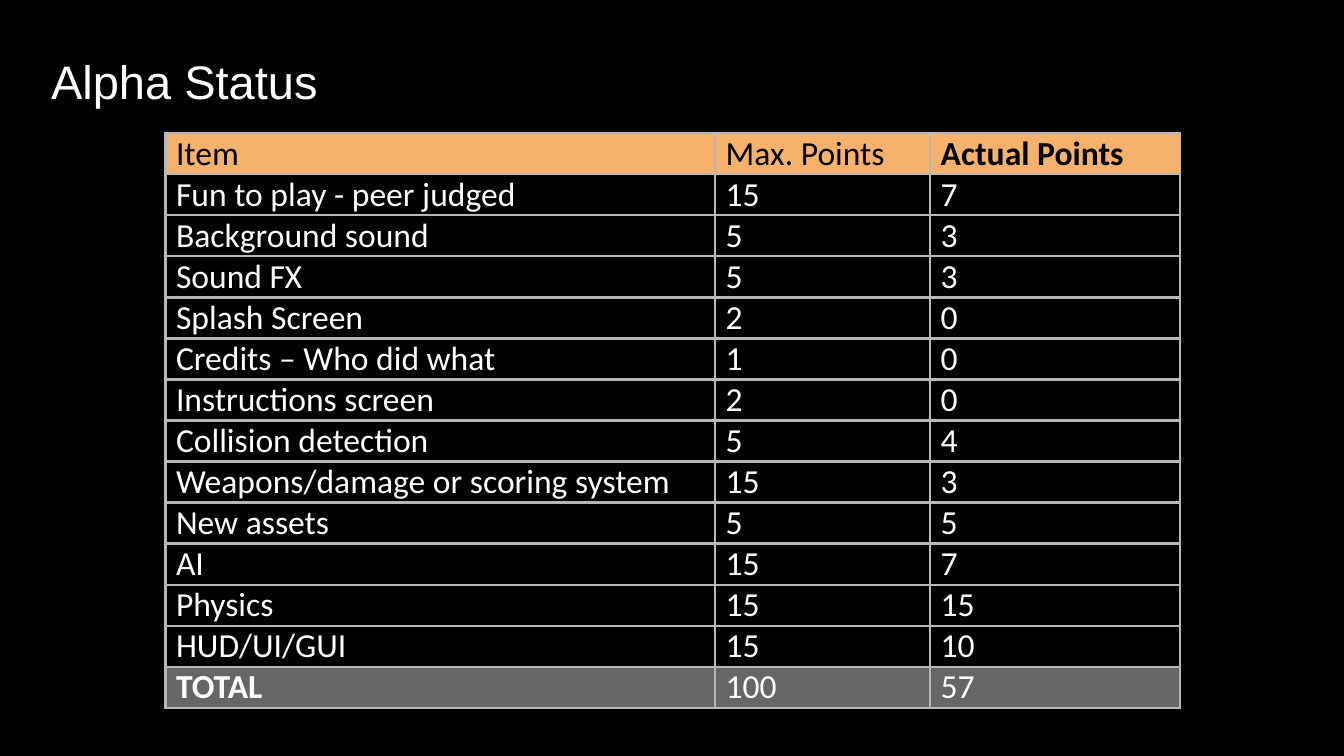
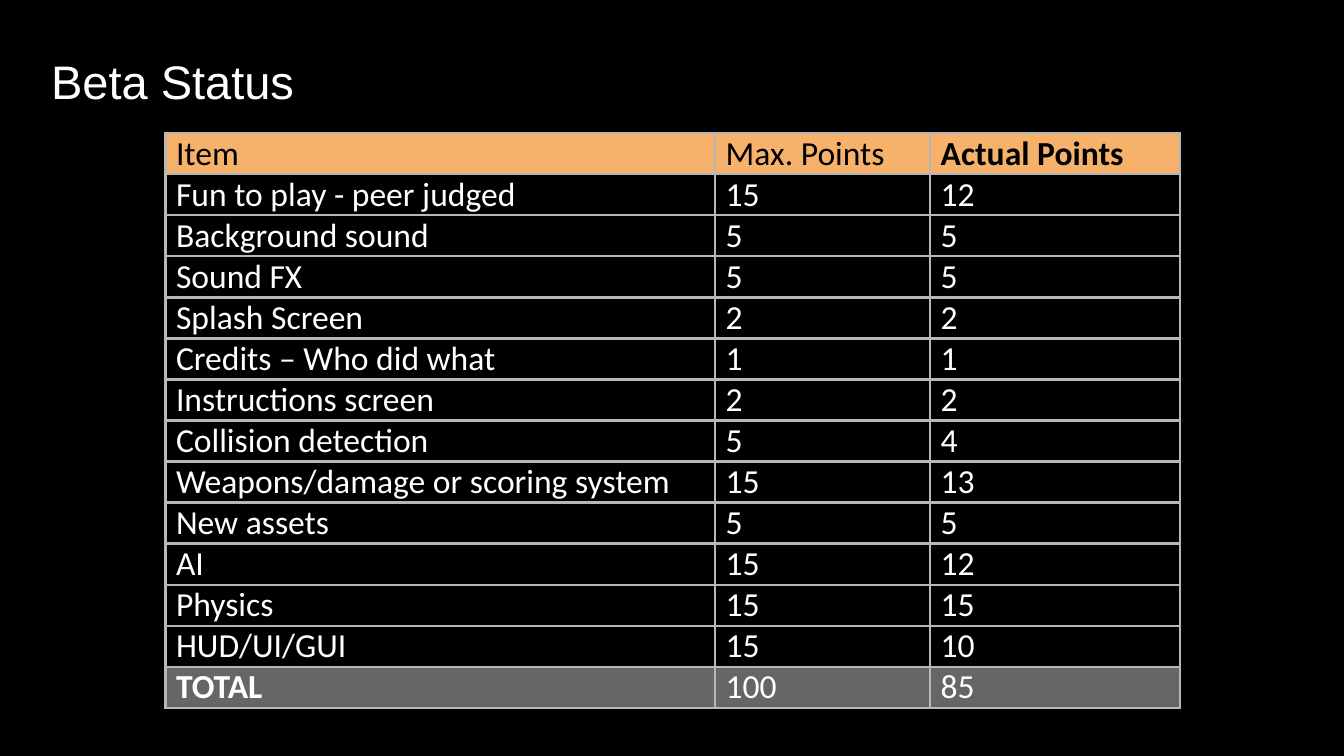
from dataclasses import dataclass

import lxml.etree
import pptx
import pptx.dml.color
import pptx.enum.text
import pptx.oxml.ns
import pptx.presentation
import pptx.slide
import pptx.table
import pptx.text.text
import pptx.util

Inches = pptx.util.Inches
Pt = pptx.util.Pt
RGBColor = pptx.dml.color.RGBColor

BLACK = RGBColor(0x00, 0x00, 0x00)
WHITE = RGBColor(0xFF, 0xFF, 0xFF)
ORANGE = RGBColor(0xF6, 0xB2, 0x6B)
DARK_GREY = RGBColor(0x66, 0x66, 0x66)
BORDER_GREY = RGBColor(0xB7, 0xB7, 0xB7)

SLIDE_WIDTH = Inches(10)
SLIDE_HEIGHT = SLIDE_WIDTH * 9 // 16

TITLE_ONLY_LAYOUT = 5
TITLE_BOX = {"left": Inches(0.28), "top": Inches(0.28),
             "width": Inches(2.58), "height": Inches(0.63)}
TITLE_FRAME = {"margin_left": Inches(0.1), "margin_right": Inches(0.1),
               "margin_top": Inches(0.1), "margin_bottom": Inches(0.1),
               "vertical_anchor": pptx.enum.text.MSO_ANCHOR.BOTTOM,
               "auto_size": pptx.enum.text.MSO_AUTO_SIZE.NONE,
               "word_wrap": True}
TITLE_FONT = {"name": "Arial", "size": Pt(25.2), "bold": False}

TABLE_LEFT, TABLE_TOP = Inches(1.23), Inches(0.99)
COLUMN_WIDTHS = (Inches(4.09), Inches(1.6), Inches(1.86))
ROW_HEIGHT = Inches(0.3)
BORDER_WIDTH = Pt(1.5)
CELL_FRAME = {"margin_left": Inches(0.08), "margin_right": Inches(0.08),
              "margin_top": 0, "margin_bottom": 0,
              "vertical_anchor": pptx.enum.text.MSO_ANCHOR.TOP}
CELL_FONT = {"name": "Calibri", "size": Pt(18)}

HEADINGS = ("Item", "Max. Points", "Actual Points")
MAX_POINTS = {
    "Fun to play - peer judged": 15,
    "Background sound": 5,
    "Sound FX": 5,
    "Splash Screen": 2,
    "Credits – Who did what": 1,
    "Instructions screen": 2,
    "Collision detection": 5,
    "Weapons/damage or scoring system": 15,
    "New assets": 5,
    "AI": 15,
    "Physics": 15,
    "HUD/UI/GUI": 15,
}


@dataclass(frozen=True)
class Milestone:
    title: str
    points: tuple[int, ...]
    total: int  # as stated on the slide


@dataclass(frozen=True)
class RowStyle:
    text: RGBColor
    fill: RGBColor | None = None
    bold_column: int | None = None


HEADER_STYLE = RowStyle(BLACK, ORANGE, bold_column=2)
SCORE_STYLE = RowStyle(WHITE)
TOTAL_STYLE = RowStyle(WHITE, DARK_GREY, bold_column=0)

MILESTONES = (
    Milestone("Alpha Status", (7, 3, 3, 0, 0, 0, 4, 3, 5, 7, 15, 10), 57),
    Milestone("Beta Status", (12, 5, 5, 2, 1, 2, 4, 13, 5, 12, 15, 10), 85),
)


def apply_format(target: object, values: dict) -> None:
    for attribute, value in values.items():
        setattr(target, attribute, value)


def write_text(paragraph: pptx.text.text._Paragraph, text: str,
               font: dict, color: RGBColor) -> None:
    run = paragraph.add_run()
    run.text = text
    apply_format(run.font, font)
    run.font.color.rgb = color


def add_borders(cell: pptx.table._Cell) -> None:
    """Line all four sides; must precede the cell's fill in the XML."""
    qn = pptx.oxml.ns.qn
    properties = cell._tc.get_or_add_tcPr()
    for side in ("lnL", "lnR", "lnT", "lnB"):
        line = lxml.etree.SubElement(properties, qn(f"a:{side}"),
                                     w=str(int(BORDER_WIDTH)))
        fill = lxml.etree.SubElement(line, qn("a:solidFill"))
        lxml.etree.SubElement(fill, qn("a:srgbClr"), val=str(BORDER_GREY))


def fill_row(table: pptx.table.Table, row: int, values: tuple,
             style: RowStyle) -> None:
    for column, value in enumerate(values):
        cell = table.cell(row, column)
        apply_format(cell, CELL_FRAME)
        add_borders(cell)
        if style.fill is None:
            cell.fill.background()
        else:
            cell.fill.solid()
            cell.fill.fore_color.rgb = style.fill
        font = CELL_FONT | {"bold": column == style.bold_column}
        write_text(cell.text_frame.paragraphs[0], str(value), font, style.text)


def add_title(slide: pptx.slide.Slide, text: str) -> None:
    title = slide.shapes.title
    apply_format(title, TITLE_BOX)
    apply_format(title.text_frame, TITLE_FRAME)
    paragraph = title.text_frame.paragraphs[0]
    paragraph.alignment = pptx.enum.text.PP_ALIGN.LEFT
    write_text(paragraph, text, TITLE_FONT, WHITE)


def add_score_table(slide: pptx.slide.Slide, milestone: Milestone) -> None:
    scores = zip(MAX_POINTS, MAX_POINTS.values(), milestone.points)
    total = ("TOTAL", sum(MAX_POINTS.values()), milestone.total)
    rows = [(HEADINGS, HEADER_STYLE),
            *((score, SCORE_STYLE) for score in scores),
            (total, TOTAL_STYLE)]
    table = slide.shapes.add_table(
        len(rows), len(HEADINGS), TABLE_LEFT, TABLE_TOP,
        sum(COLUMN_WIDTHS), ROW_HEIGHT * len(rows)).table
    apply_format(table, {"first_row": False, "horz_banding": False})
    for column, width in zip(table.columns, COLUMN_WIDTHS):
        column.width = width
    for row, (values, style) in enumerate(rows):
        fill_row(table, row, values, style)


def add_milestone_slide(deck: pptx.presentation.Presentation,
                        milestone: Milestone) -> None:
    slide = deck.slides.add_slide(deck.slide_layouts[TITLE_ONLY_LAYOUT])
    slide.background.fill.solid()
    slide.background.fill.fore_color.rgb = BLACK
    add_title(slide, milestone.title)
    add_score_table(slide, milestone)


def main() -> None:
    deck = pptx.Presentation()
    deck.slide_width, deck.slide_height = SLIDE_WIDTH, SLIDE_HEIGHT
    for milestone in MILESTONES:
        add_milestone_slide(deck, milestone)
    deck.save("out.pptx")


if __name__ == "__main__":
    main()
